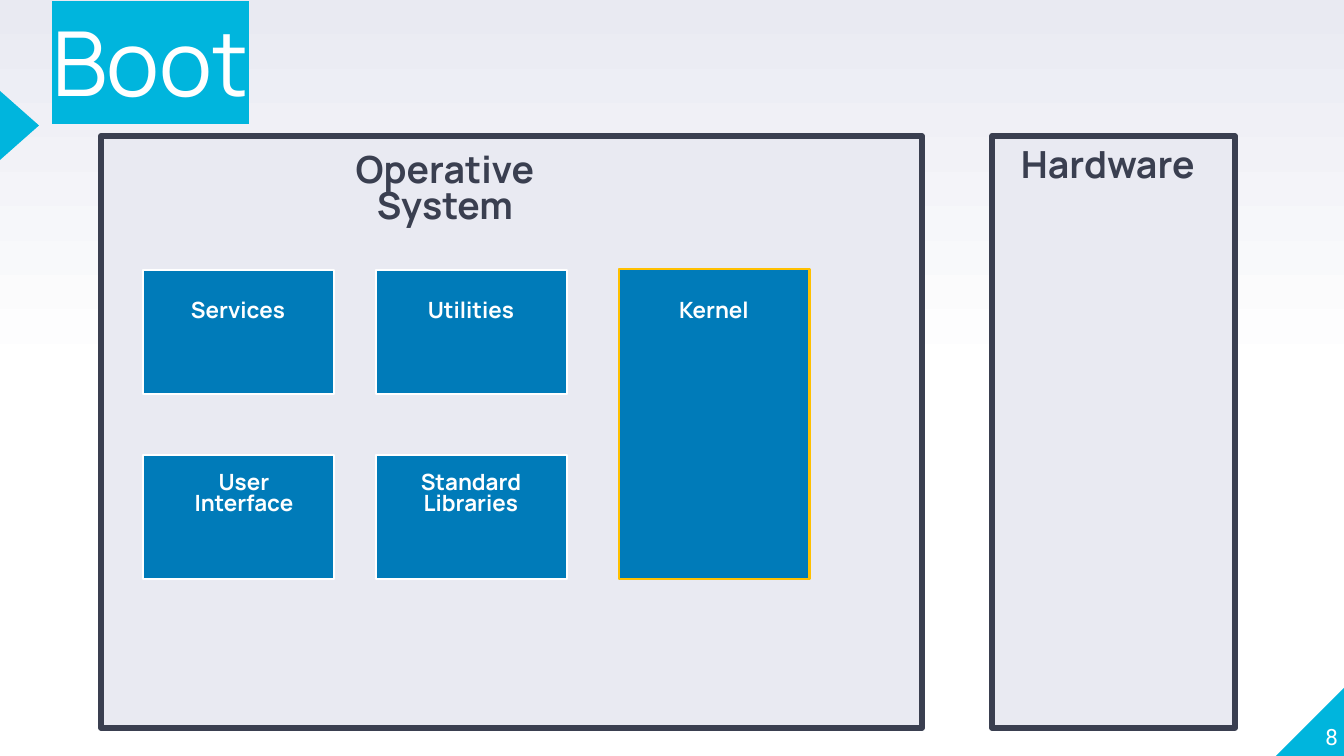
from lxml import etree
from pptx import Presentation
from pptx.dml.color import RGBColor
from pptx.enum.shapes import MSO_SHAPE as Shape
from pptx.enum.text import MSO_ANCHOR as Anchor, PP_ALIGN as Align
from pptx.oxml.ns import qn
from pptx.util import Pt

PX = 914400 / 134.4
COLORS = {
    "white": "FFFFFF",
    "mist": "E9EAF2",
    "cyan": "00B5DD",
    "blue": "007BB9",
    "slate": "3A3F50",
    "gold": "FFC000",
}


def add_block(kind, bounds, fill, line=None, width=0):
    block = slide.shapes.add_shape(kind, *[round(n * PX) for n in bounds])
    block.shadow.inherit = False
    block.fill.solid()
    block.fill.fore_color.rgb = RGBColor.from_string(COLORS[fill])
    if line:
        block.line.color.rgb = RGBColor.from_string(COLORS[line])
        block.line.width = Pt(width)
    else:
        block.line.fill.background()
    return block


def add_text(text, bounds, size, color="white", align=Align.CENTER,
             bold=False, font="Manrope", anchor=Anchor.BOTTOM, spacing=0.8):
    box = slide.shapes.add_textbox(*[round(n * PX) for n in bounds])
    frame = box.text_frame
    frame.word_wrap = True
    frame.vertical_anchor = anchor
    frame.margin_left = frame.margin_right = 0
    frame.margin_top = frame.margin_bottom = 0
    para = frame.paragraphs[0]
    para.alignment = align
    para.line_spacing = spacing
    span = para.add_run()
    span.text = text
    para.font.size = Pt(size)
    para.font.bold = bold
    para.font.name = font
    para.font.color.rgb = RGBColor.from_string(COLORS[color])
    return span


deck = Presentation()
deck.slide_width = round(1344 * PX)
deck.slide_height = round(756 * PX)
slide = deck.slides.add_slide(deck.slide_layouts[6])

# Background: white lower half, fading to mist at the top
backdrop = slide.background.fill
backdrop.gradient()
backdrop.gradient_angle = 90
for stop, position, color in zip(backdrop.gradient_stops, (0.5, 1), ("white", "mist")):
    stop.position = position
    stop.color.rgb = RGBColor.from_string(COLORS[color])

# Corner and side triangles, page number
corner = add_block(Shape.RIGHT_TRIANGLE, (1276, 687, 69, 69), "cyan")
corner.rotation = 270
marker = add_block(Shape.ISOSCELES_TRIANGLE, (-15, 106, 69, 39), "cyan")
marker.rotation = 90
add_text("8", (1271, 681, 67, 69), 12, align=Align.RIGHT, font="Roboto", spacing=1)

# Highlighted title
title = add_text("Boot", (52, 28, 281, 79), 48, align=Align.LEFT, anchor=Anchor.TOP)
highlight = etree.SubElement(title.font._element, qn("a:highlight")) \
    if hasattr(title.font, "_element") else \
    etree.SubElement(title._r.get_or_add_rPr(), qn("a:highlight"))
etree.SubElement(highlight, qn("a:srgbClr"), val=COLORS["cyan"])

# Hardware and operating system panels
for left, width in ((992, 243), (101, 821)):
    add_block(Shape.RECTANGLE, (left, 136, width, 592), "mist", "slate", 3)
add_text("Operative System", (344, 177, 202, 50), 20, "slate", bold=True)
add_text("Hardware", (1021, 134, 191, 52), 20, "slate", Align.LEFT, bold=True)

# Components: label, left, top, height, outline, outline width, label left, label top
components = [
    ("Kernel", 619, 269, 310, "gold", 1.5, 644, 288),
    ("Services", 143, 270, 124, "white", 1, 168, 288),
    ("Utilities", 376, 270, 124, "white", 1, 401, 288),
    ("Standard Libraries", 376, 455, 124, "white", 1, 401, 481),
    ("User Interface", 143, 455, 124, "white", 1, 174, 481),
]
for label, left, top, height, line, width, label_left, label_top in components:
    add_block(Shape.RECTANGLE, (left, top, 191, height), "blue", line, width)
    add_text(label, (label_left, label_top, 140, 35), 12, bold=True)

deck.save("out.pptx")
